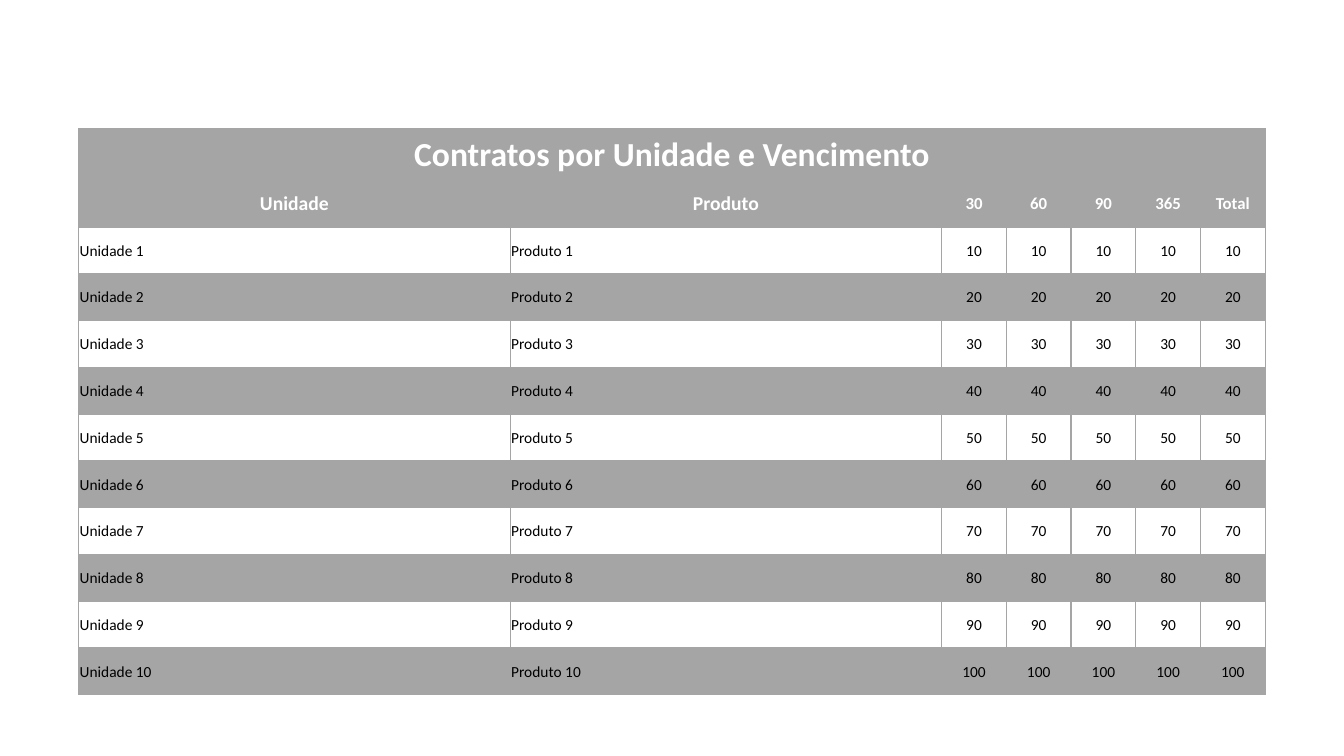
from lxml.etree import SubElement
from pptx import Presentation
from pptx.dml.color import RGBColor
from pptx.enum.shapes import MSO_SHAPE
from pptx.enum.text import MSO_ANCHOR, PP_ALIGN
from pptx.oxml.ns import qn
from pptx.util import Inches, Pt

GREY, WHITE, BLACK = "A5A5A5", "FFFFFF", "000000"
TITLE = "Contratos por Unidade e Vencimento"
HEADINGS = ["Unidade", "Produto", "30", "60", "90", "365", "Total"]
BODY = [[f"Unidade {n}", f"Produto {n}"] + [str(10 * n)] * 5 for n in range(1, 11)]
NAME_COLUMNS = 2
NAME_WIDTH = 4.28
TITLE_HEIGHT = 0.5


def color(value):
    return RGBColor.from_string(value)


def paint(fill, value, opacity=100):
    fill.solid()
    fill.fore_color.rgb = color(value)
    if opacity < 100:
        # Opacity is a child of the colour element
        tint = next(fill._xPr.iter(qn("a:srgbClr")))
        SubElement(tint, qn("a:alpha"), val=str(opacity * 1000))


def set_borders(cell, bottom=1):
    properties = cell._tc.get_or_add_tcPr()
    for side, width in (("L", 1), ("R", 1), ("T", 1), ("B", bottom)):
        line = SubElement(properties, qn(f"a:ln{side}"), w=str(Pt(width)))
        solid = SubElement(line, qn("a:solidFill"))
        SubElement(solid, qn("a:srgbClr"), val=GREY)


def write(cell, text, size, ink, bold=False, centred=True):
    cell.vertical_anchor = MSO_ANCHOR.MIDDLE
    para = cell.text_frame.paragraphs[0]
    para.alignment = PP_ALIGN.CENTER if centred else PP_ALIGN.LEFT
    span = para.add_run()
    span.text = text
    span.font.name = "Calibri"
    span.font.size = Pt(size)
    span.font.bold = bold
    span.font.color.rgb = color(ink)


def add_panel(page, box):
    panel = page.shapes.add_shape(MSO_SHAPE.RECTANGLE, *map(Inches, box))
    panel.shadow.inherit = False
    paint(panel.fill, WHITE, 90)
    panel.line.color.rgb = color(WHITE)
    panel.line.width = Pt(1)


def add_contracts(page, box):
    left, top, width, height = box
    row_count, column_count = len(BODY) + 2, len(HEADINGS)
    frame = page.shapes.add_table(row_count, column_count, *map(Inches, box))
    table = frame.table
    table.first_row = table.horz_banding = False

    # Two wide name columns share the width with equal number columns
    number_width = (width - NAME_COLUMNS * NAME_WIDTH) / (column_count - NAME_COLUMNS)
    for index, column in enumerate(table.columns):
        column.width = Inches(NAME_WIDTH if index < NAME_COLUMNS else number_width)
    for index, row in enumerate(table.rows):
        row.height = Inches((height - TITLE_HEIGHT) / (row_count - 1) if index else TITLE_HEIGHT)

    # Title across all columns
    for cell in table.rows[0].cells:
        set_borders(cell, bottom=2)
        paint(cell.fill, GREY)
    title = table.cell(0, 0)
    title.merge(table.cell(0, column_count - 1))
    write(title, TITLE, 24, WHITE, bold=True)

    # Column headings
    for index, heading in enumerate(HEADINGS):
        cell = table.cell(1, index)
        set_borders(cell)
        paint(cell.fill, GREY)
        write(cell, heading, 14 if index < NAME_COLUMNS else 12, WHITE, bold=True)

    # Body rows, every second one tinted
    for number, values in enumerate(BODY):
        for index, value in enumerate(values):
            cell = table.cell(number + 2, index)
            set_borders(cell)
            if number % 2:
                paint(cell.fill, GREY, 20)
            else:
                cell.fill.background()
            cell.margin_left = cell.margin_right = cell.margin_top = Inches(0.01)
            cell.margin_bottom = 0
            write(cell, value, 11, BLACK, centred=index >= NAME_COLUMNS)


deck = Presentation()
deck.slide_width, deck.slide_height = Inches(13.33), Inches(7.5)
page = deck.slides.add_slide(deck.slide_layouts[6])
add_panel(page, (0.45, 0.94, 12.43, 6.28))
add_contracts(page, (0.78, 1.28, 11.77, 5.61))
deck.save("out.pptx")
